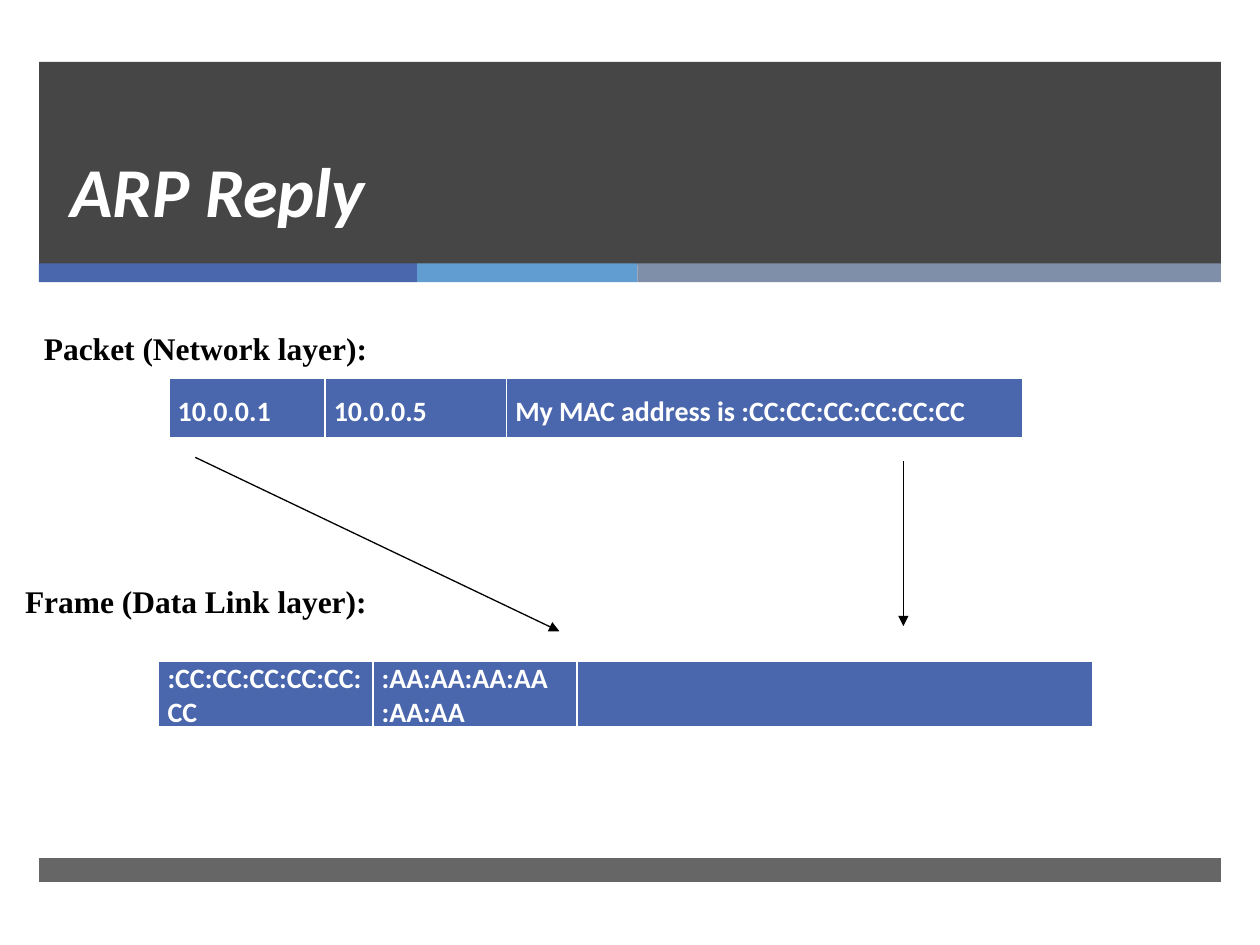
"""Build the ARP Reply slide: a packet row mapped onto a frame row."""
from lxml.etree import SubElement
from pptx import Presentation
from pptx.dml.color import RGBColor
from pptx.enum.shapes import MSO_CONNECTOR, MSO_SHAPE
from pptx.enum.text import MSO_ANCHOR, MSO_AUTO_SIZE, PP_ALIGN
from pptx.oxml.ns import qn
from pptx.util import Inches, Pt

THEME = {
    "dark": "262626", "blue": "4A66AC", "sky": "629DD1", "slate": "7F8FA9",
    "white": "FFFFFF", "black": "000000",
    "sans": "Calibri", "serif": "Times New Roman",
    "title": 40, "label": 18, "cell": 16, "line": 0.75,
}
MARGIN, BAND_WIDTH = 0.31, 9.38
BANDS = [(0.49, 1.61, 85), (6.81, 0.19, 70)]
STRIPES = [("blue", 3), ("sky", 1.75), ("slate", 4.63)]
STRIPE_TOP, STRIPE_HEIGHT = 2.09, 0.15
ROOMY = {"line_spacing": 1.5, "space_after": Pt(10)}
JUSTIFIED = {**ROOMY, "alignment": PP_ALIGN.JUSTIFY}
LABELS = [
    ("Packet (Network layer):", (0.25, 2.41, 2.8, 0.56), JUSTIFIED),
    ("Frame (Data Link layer):", (0.1, 4.57, 2.95, 0.4), {}),
]
TABLES = [
    {"at": (1.34, 3), "height": 0.49, "columns": (1.24, 1.44, 4.1),
     "cells": [("10.0.0.1", JUSTIFIED), ("10.0.0.5", JUSTIFIED),
               ("My MAC address is :CC:CC:CC:CC:CC:CC", ROOMY)]},
    {"at": (1.26, 5.25), "height": 0.44, "columns": (1.7, 1.62, 4.09),
     "cells": [(":CC:CC:CC:CC:CC:CC", {}), (":AA:AA:AA:AA\n:AA:AA", {}), ("", {})]},
]
ARROWS = [((1.55, 3.63), (4.44, 5.01)), ((7.17, 3.66), (7.17, 4.97))]
BORDERS = {"a:lnL": 1, "a:lnR": 1, "a:lnT": 1, "a:lnB": 3}


def color(name):
    return RGBColor.from_string(THEME[name])


def write(frame, text, size, font="sans", ink="white", italic=False, **layout):
    frame.text = text
    for paragraph in frame.paragraphs:
        for name, value in layout.items():
            setattr(paragraph, name, value)
        style = paragraph.font
        style.name, style.size = THEME[font], Pt(THEME[size])
        style.bold, style.italic = True, italic
        style.color.rgb = color(ink)


def add_bar(slide, box, fill, opacity=100):
    shape = slide.shapes.add_shape(MSO_SHAPE.RECTANGLE, *map(Inches, box))
    shape.shadow.inherit = False
    shape.line.fill.background()
    shape.fill.solid()
    shape.fill.fore_color.rgb = color(fill)
    if opacity < 100:
        tint = next(shape._element.spPr.iter(qn("a:srgbClr")))
        SubElement(tint, qn("a:alpha"), val=str(opacity * 1000))


def add_border(cell):
    properties = cell._tc.get_or_add_tcPr()
    for position, (tag, width) in enumerate(BORDERS.items()):
        line = SubElement(properties, qn(tag), w=str(Pt(width)))
        fill = SubElement(line, qn("a:solidFill"))
        SubElement(fill, qn("a:srgbClr"), val=THEME["white"])
        properties.insert(position, line)


def add_field_table(slide, at, height, columns, cells):
    box = map(Inches, (*at, sum(columns), height))
    table = slide.shapes.add_table(1, len(columns), *box).table
    for index, (width, (text, layout)) in enumerate(zip(columns, cells)):
        table.columns[index].width = Inches(width)
        cell = table.cell(0, index)
        cell.margin_left = cell.margin_right = Inches(0.07)
        cell.margin_top = cell.margin_bottom = 0
        cell.fill.solid()
        cell.fill.fore_color.rgb = color("blue")
        write(cell.text_frame, text, "cell", **layout)
        add_border(cell)


def add_label(slide, text, box, layout):
    frame = slide.shapes.add_textbox(*map(Inches, box)).text_frame
    frame.word_wrap = False
    frame.auto_size = MSO_AUTO_SIZE.SHAPE_TO_FIT_TEXT
    write(frame, text, "label", font="serif", ink="black", **layout)


def add_arrow(slide, start, end):
    arrow = slide.shapes.add_connector(
        MSO_CONNECTOR.STRAIGHT, *map(Inches, (*start, *end)))
    arrow.line.color.rgb = color("black")
    arrow.line.width = Pt(THEME["line"])
    SubElement(arrow.line._get_or_add_ln(), qn("a:tailEnd"), type="triangle")
    SubElement(arrow._element.spPr, qn("a:effectLst"))


def add_title(slide, text, box):
    title = slide.shapes.title
    title.left, title.top, title.width, title.height = map(Inches, box)
    frame = title.text_frame
    frame.vertical_anchor = MSO_ANCHOR.BOTTOM
    write(frame, text, "title", italic=True,
          alignment=PP_ALIGN.LEFT, line_spacing=Pt(46))
    slide.shapes._spTree.append(title._element)


def build():
    presentation = Presentation()
    presentation.slide_width, presentation.slide_height = Inches(10), Inches(7.5)
    slide = presentation.slides.add_slide(presentation.slide_layouts[5])
    for top, height, opacity in BANDS:
        add_bar(slide, (MARGIN, top, BAND_WIDTH, height), "dark", opacity)
    left = MARGIN
    for fill, width in STRIPES:
        add_bar(slide, (left, STRIPE_TOP, width, STRIPE_HEIGHT), fill)
        left += width
    add_title(slide, "ARP Reply", (0.46, 0.7, 8.54, 1.19))
    for label in LABELS:
        add_label(slide, *label)
    for table in TABLES:
        add_field_table(slide, **table)
    for arrow in ARROWS:
        add_arrow(slide, *arrow)
    presentation.save("out.pptx")


build()
